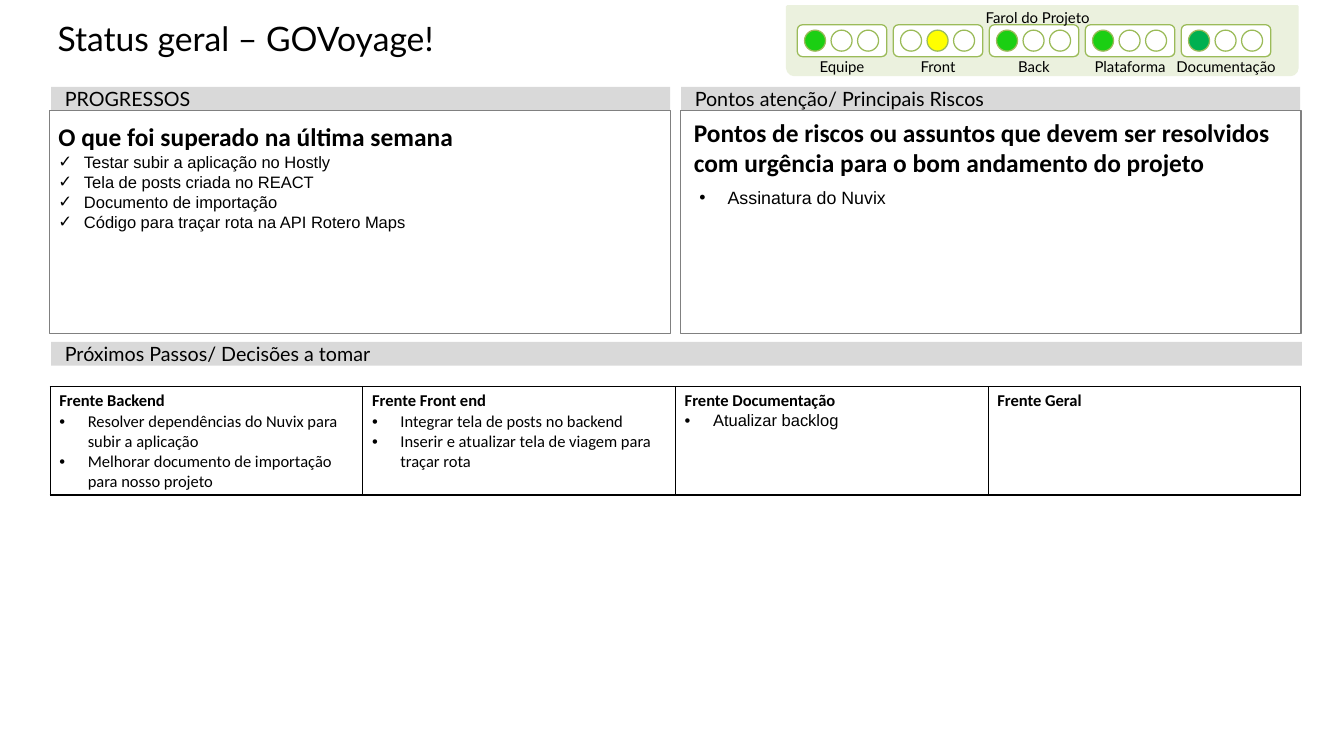
from dataclasses import dataclass
from lxml.etree import SubElement
from pptx import Presentation
from pptx.dml.color import RGBColor
from pptx.enum.shapes import MSO_SHAPE as Shape
from pptx.enum.text import MSO_ANCHOR as Anchor, PP_ALIGN as Align
from pptx.oxml.ns import qn
from pptx.util import Inches, Pt


@dataclass(frozen=True)
class Theme:
    heading_font: str = "Lato"
    strong_font: str = "Calibri"
    body_font: str = "Arial"
    text: str = "000000"
    white: str = "FFFFFF"
    bar: str = "D9D9D9"
    frame: str = "808080"
    beacon_back: str = "EBF1DE"
    beacon_line: str = "9BBB59"
    green: str = "1BCF13"
    dark_green: str = "00B050"
    yellow: str = "FFFF00"
    title_size: float = 26.5
    lead_size: float = 20
    bar_size: float = 15.5
    risk_size: float = 14
    body_size: float = 13
    label_size: float = 11.8


THEME = Theme()

TITLE = "Status geral – GOVoyage!"
BEACON_TITLE = "Farol do Projeto"
BEACONS = [
    ("Equipe", 0, THEME.green),
    ("Front", 1, THEME.yellow),
    ("Back", 0, THEME.green),
    ("Plataforma", 0, THEME.green),
    ("Documentação", 0, THEME.dark_green),
]
BARS = [
    ("PROGRESSOS", 0.56, 0.95, 6.77),
    ("Pontos atenção/ Principais Riscos", 7.45, 0.95, 6.77),
    ("Próximos Passos/ Decisões a tomar", 0.56, 3.74, 13.68),
]
PROGRESS_LEAD = "O que foi superado na última semana"
PROGRESS = [
    "Testar subir a aplicação no Hostly",
    "Tela de posts criada no REACT",
    "Documento de importação",
    "Código para traçar rota na API Rotero Maps",
]
RISK_LEAD = ("Pontos de riscos ou assuntos que devem ser resolvidos "
             "com urgência para o bom andamento do projeto")
RISKS = ["Assinatura do Nuvix"]
FRONTS = [
    ("Frente Backend", THEME.strong_font, [
        "Resolver dependências do Nuvix para subir a aplicação",
        "Melhorar documento de importação para nosso projeto",
    ]),
    ("Frente Front end", THEME.strong_font, [
        "Integrar tela de posts no backend",
        "Inserir e atualizar tela de viagem para traçar rota",
    ]),
    ("Frente Documentação", THEME.body_font, ["Atualizar backlog"]),
    ("Frente Geral", THEME.strong_font, []),
]

PANEL_TOP, PANEL_WIDTH, PANEL_HEIGHT = 1.21, 6.79, 2.44
BEACON_LEFT, BEACON_STEP, BEACON_WIDTH = 8.72, 1.05, 0.98
LIGHT_INSET, LIGHT_STEP, LIGHT_SIZE = 0.08, 0.29, 0.23
LABEL_WIDTH, LABEL_HEIGHT = 1.5, 0.2
LABEL_INSETS = (0.06, 0.06, 0.06, 0)
TABLE_BOX = (0.55, 4.23, 13.68, 1.18)


def add_box(slide, kind, box, fill=None, line=None, width=1):
    shape = slide.shapes.add_shape(kind, *map(Inches, box))
    shape.shadow.inherit = False
    if fill:
        shape.fill.solid()
        shape.fill.fore_color.rgb = RGBColor.from_string(fill)
    else:
        shape.fill.background()
    if line:
        shape.line.color.rgb = RGBColor.from_string(line)
        shape.line.width = Pt(width)
    else:
        shape.line.fill.background()
    return shape


def set_frame(frame, insets=(0.1, 0.05, 0.1, 0.05), anchor=Anchor.TOP):
    frame.word_wrap = True
    frame.vertical_anchor = anchor
    (frame.margin_left, frame.margin_top,
     frame.margin_right, frame.margin_bottom) = map(Inches, insets)
    return frame


def add_text_box(slide, box, **layout):
    return set_frame(slide.shapes.add_textbox(*map(Inches, box)).text_frame, **layout)


def add_text(frame, text, size, font, bold=False, align=Align.LEFT, bullet=None, indent=0.31):
    first = frame.paragraphs[0]
    paragraph = frame.add_paragraph() if first.runs else first
    paragraph.alignment = align
    run = paragraph.add_run()
    run.text = text
    run.font.size = Pt(size)
    run.font.name = font
    run.font.bold = bold
    run.font.color.rgb = RGBColor.from_string(THEME.text)
    if bullet:
        properties = paragraph._p.get_or_add_pPr()
        properties.set("marL", str(Inches(indent)))
        properties.set("indent", str(-Inches(indent)))
        SubElement(properties, qn("a:buFont"), typeface=THEME.body_font)
        SubElement(properties, qn("a:buChar"), char=bullet)


def add_label(slide, text, center, top):
    box = (center - LABEL_WIDTH / 2, top, LABEL_WIDTH, LABEL_HEIGHT)
    frame = add_text_box(slide, box, insets=LABEL_INSETS, anchor=Anchor.BOTTOM)
    add_text(frame, text, THEME.label_size, THEME.heading_font, align=Align.CENTER)


def add_beacons(slide):
    back = add_box(slide, Shape.ROUND_2_SAME_RECTANGLE, (8.61, 0.07, 5.58, 0.75),
                   THEME.beacon_back, THEME.beacon_back, 2)
    back.rotation = 180
    back.adjustments[0] = 0.106
    for index, (label, active, colour) in enumerate(BEACONS):
        left = BEACON_LEFT + index * BEACON_STEP
        add_box(slide, Shape.ROUNDED_RECTANGLE, (left, 0.27, BEACON_WIDTH, 0.35),
                THEME.white, THEME.beacon_line)
        for position in range(3):
            light_left = left + LIGHT_INSET + position * LIGHT_STEP
            add_box(slide, Shape.OVAL, (light_left, 0.33, LIGHT_SIZE, LIGHT_SIZE),
                    colour if position == active else THEME.white, THEME.beacon_line)
        add_label(slide, label, left + BEACON_WIDTH / 2, 0.63)
    add_label(slide, BEACON_TITLE, 11.35, 0.09)


def add_bars(slide):
    for text, left, top, width in BARS:
        bar = add_box(slide, Shape.RECTANGLE, (left, top, width, 0.26), THEME.bar)
        frame = set_frame(bar.text_frame, (0.15, 0.07, 0.15, 0.07), Anchor.MIDDLE)
        add_text(frame, text, THEME.bar_size, THEME.heading_font)


def add_panels(slide):
    progress, _ = [
        add_box(slide, Shape.RECTANGLE, (left, PANEL_TOP, PANEL_WIDTH, PANEL_HEIGHT),
                line=THEME.frame)
        for left in (0.54, 7.44)
    ]
    frame = set_frame(progress.text_frame, (0.1, 0.12, 0.1, 0.05))
    add_text(frame, PROGRESS_LEAD, THEME.lead_size, THEME.strong_font, bold=True)
    for item in PROGRESS:
        add_text(frame, item, THEME.body_size, THEME.body_font, bullet="✓", indent=0.28)
    lead = add_text_box(slide, (7.49, 1.23, 6.74, 0.77))
    add_text(lead, RISK_LEAD, THEME.lead_size, THEME.strong_font, bold=True)
    risks = add_text_box(slide, (7.55, 1.99, 5.99, 0.34))
    for item in RISKS:
        add_text(risks, item, THEME.risk_size, THEME.body_font, bullet="•")


def add_borders(cell):
    properties = cell._tc.get_or_add_tcPr()
    for position, side in enumerate(("lnL", "lnR", "lnT", "lnB")):
        border = SubElement(properties, qn(f"a:{side}"), w=str(Pt(1)))
        fill = SubElement(border, qn("a:solidFill"))
        SubElement(fill, qn("a:srgbClr"), val=THEME.text)
        properties.insert(position, border)


def add_fronts(slide):
    table = slide.shapes.add_table(1, len(FRONTS), *map(Inches, TABLE_BOX)).table
    table.first_row = table.horz_banding = False
    for cell, (heading, font, items) in zip(table.iter_cells(), FRONTS):
        cell.fill.background()
        add_borders(cell)
        frame = cell.text_frame
        add_text(frame, heading, THEME.body_size, THEME.strong_font, bold=True)
        for item in items:
            add_text(frame, item, THEME.body_size, font, bullet="•")


def main():
    presentation = Presentation()
    presentation.slide_width = Inches(14.7)
    presentation.slide_height = Inches(8.27)
    slide = presentation.slides.add_slide(presentation.slide_layouts[6])
    title = add_text_box(slide, (0.51, 0.2, 13.23, 0.87), insets=(0.12, 0, 0.12, 0))
    add_text(title, TITLE, THEME.title_size, THEME.heading_font)
    add_beacons(slide)
    add_bars(slide)
    add_panels(slide)
    add_fronts(slide)
    presentation.save("out.pptx")


if __name__ == "__main__":
    main()
